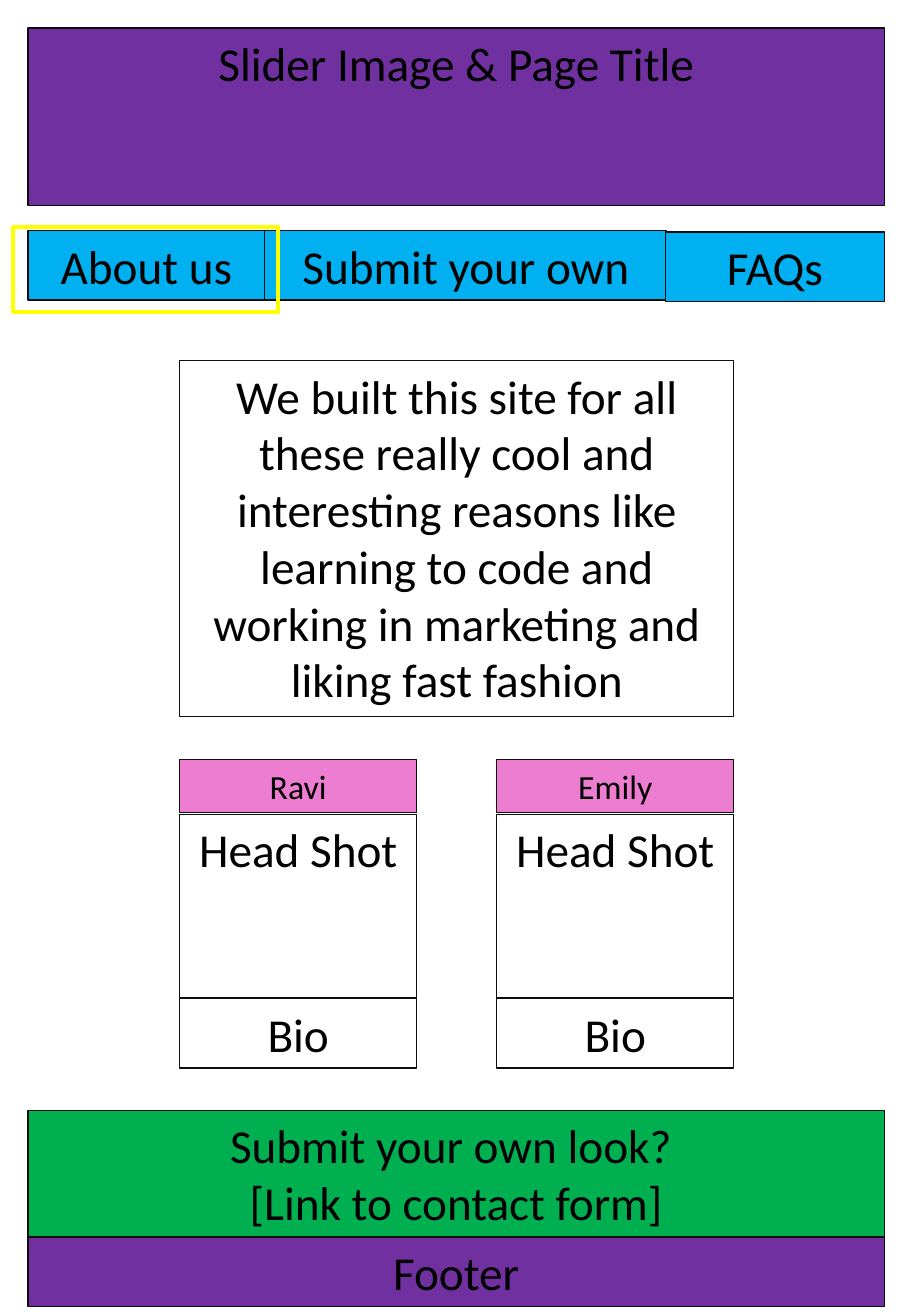
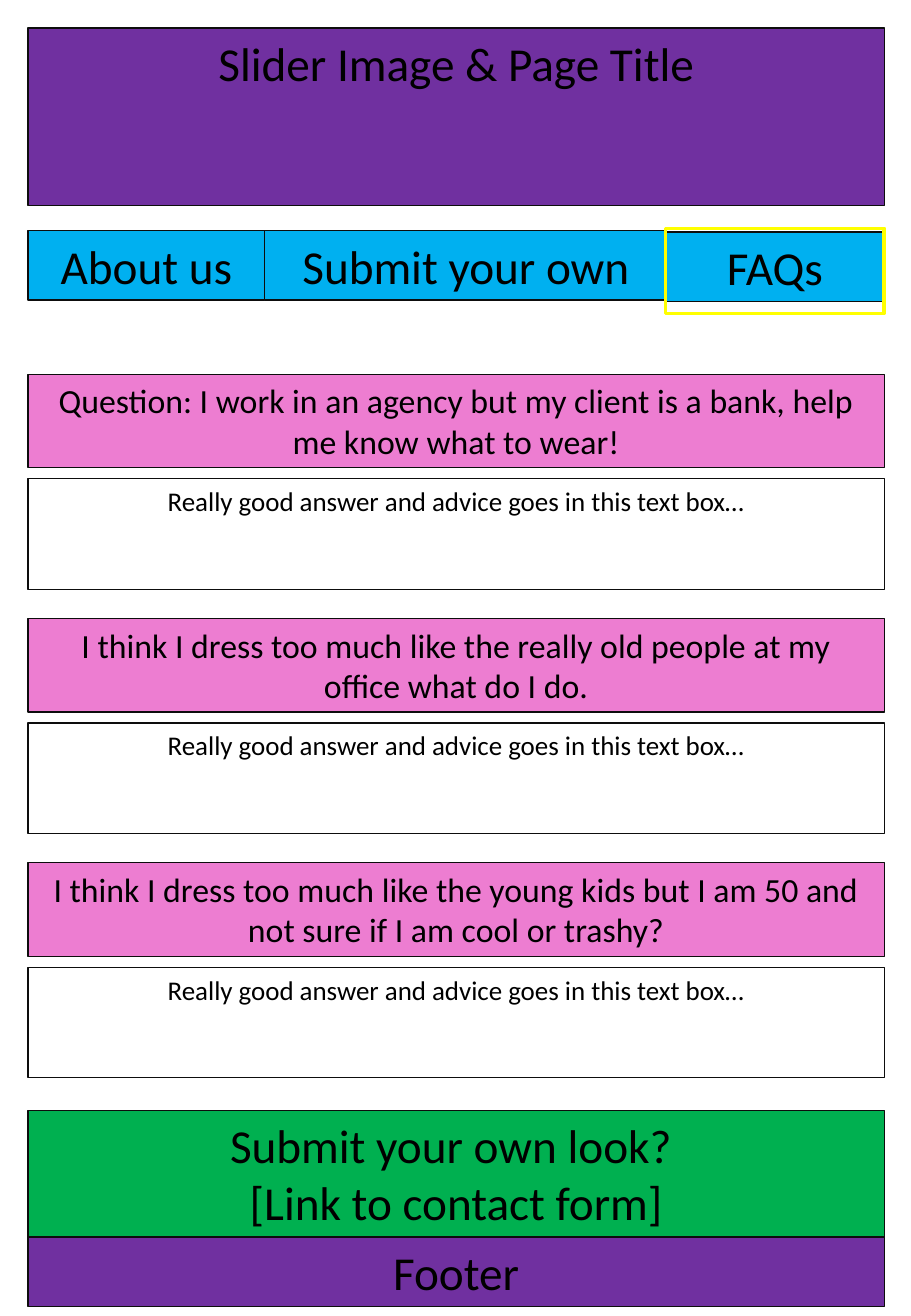
from pptx import Presentation
from pptx.dml.color import RGBColor
from pptx.enum.shapes import MSO_SHAPE
from pptx.enum.text import MSO_ANCHOR, MSO_AUTO_SIZE, PP_ALIGN
from pptx.util import Inches, Pt

PURPLE, BLUE, GREEN, PINK = "7030A0", "00B0F0", "00B050", "ED7DD1"
BLACK, EDGE, YELLOW = "000000", "0D0D0D", "FFFF00"
FONT = "Calibri"
LEFT, WIDTH = 0.23, 7.05            # full-width column
INNER_LEFT, INNER_WIDTH = 1.48, 4.56
CARD_WIDTH = 1.95
ROW = 0.57                          # height of a one-line box


def rgb(color):
    return RGBColor.from_string(color)


def fill_box(sp, x, y, w, h, text, size=28, fill=None):
    """Place a shape, outline it and write its centred text from the top."""
    sp.left, sp.top, sp.width, sp.height = (Inches(v) for v in (x, y, w, h))
    if fill:
        sp.fill.solid()
        sp.fill.fore_color.rgb = rgb(fill)
    sp.line.color.rgb = rgb(EDGE)
    sp.line.width = Pt(0.75)
    tf = sp.text_frame
    tf.word_wrap = True
    tf.auto_size = MSO_AUTO_SIZE.NONE
    tf.vertical_anchor = MSO_ANCHOR.TOP
    p = tf.paragraphs[0]
    p.alignment = PP_ALIGN.CENTER
    for i, line in enumerate(text.split("\n")):
        if i:
            p.add_line_break()
        r = p.add_run()
        r.text = line
        r.font.name = FONT
        r.font.size = Pt(size)
        r.font.color.rgb = rgb(BLACK)


prs = Presentation()
prs.slide_width, prs.slide_height = Inches(7.5), Inches(10.83)

# Page frame: title band, menu with the current entry marked, closing bands
menu = [
    (LEFT, 1.9, 1.95, "About us"),
    (2.18, 1.9, 3.31, "Submit your own"),
    (5.48, 1.91, 1.8, "FAQs"),
]
markers = [(0.11, 1.87, 2.18, 0.7), (5.48, 1.88, 1.8, 0.7)]
pages = []
for marker in markers:
    s = prs.slides.add_slide(prs.slide_layouts[5])
    fill_box(s.shapes.title, LEFT, 0.23, WIDTH, 1.46,
             "Slider Image & Page Title", fill=PURPLE)
    for x, y, w, label in menu:
        fill_box(s.shapes.add_textbox(0, 0, 0, 0), x, y, w, ROW, label, fill=BLUE)
    fill_box(s.shapes.add_textbox(0, 0, 0, 0), LEFT, 9.14, WIDTH, 1.04,
             "Submit your own look? \n[Link to contact form]", fill=GREEN)
    fill_box(s.shapes.add_textbox(0, 0, 0, 0), LEFT, 10.18, WIDTH, ROW,
             "Footer", fill=PURPLE)
    sp = s.shapes.add_shape(MSO_SHAPE.RECTANGLE, *(Inches(v) for v in marker))
    sp.shadow.inherit = False
    sp.fill.background()
    sp.line.color.rgb = rgb(YELLOW)
    sp.line.width = Pt(2.25)
    pages.append(s)
about, faqs = pages

# About us: introduction and one grouped card per person
fill_box(about.shapes.add_textbox(0, 0, 0, 0), INNER_LEFT, 2.97, INNER_WIDTH, 2.93,
         "We built this site for all these really cool and interesting reasons "
         "like learning to code and working in marketing and liking fast fashion")
card_lefts = (INNER_LEFT, INNER_LEFT + INNER_WIDTH - CARD_WIDTH)
for x, name in zip(card_lefts, ("Ravi", "Emily")):
    card = about.shapes.add_group_shape()
    for y, h, text, size, fill in [
        (6.7, 1.51, "Head Shot", 28, None),
        (8.22, ROW, "Bio", 28, None),
        (6.25, 0.44, name, 20, PINK),
    ]:
        fill_box(card.shapes.add_textbox(0, 0, 0, 0), x, y, CARD_WIDTH, h,
                 text, size, fill)

# FAQs: question and answer pairs at an equal step
questions = [
    "Question: I work in an agency but my client is a bank, help me know what to wear!",
    "I think I dress too much like the really old people at my office what do I do.",
    "I think I dress too much like the young kids but I am 50 and not sure "
    "if I am cool or trashy?",
]
for i, question in enumerate(questions):
    y = 3.08 + 2.01 * i
    fill_box(faqs.shapes.add_textbox(0, 0, 0, 0), LEFT, y, WIDTH, 0.77,
             question, 20, PINK)
    fill_box(faqs.shapes.add_textbox(0, 0, 0, 0), LEFT, y + 0.86, WIDTH, 0.91,
             "Really good answer and advice goes in this text box…", 16)

prs.save("out.pptx")
